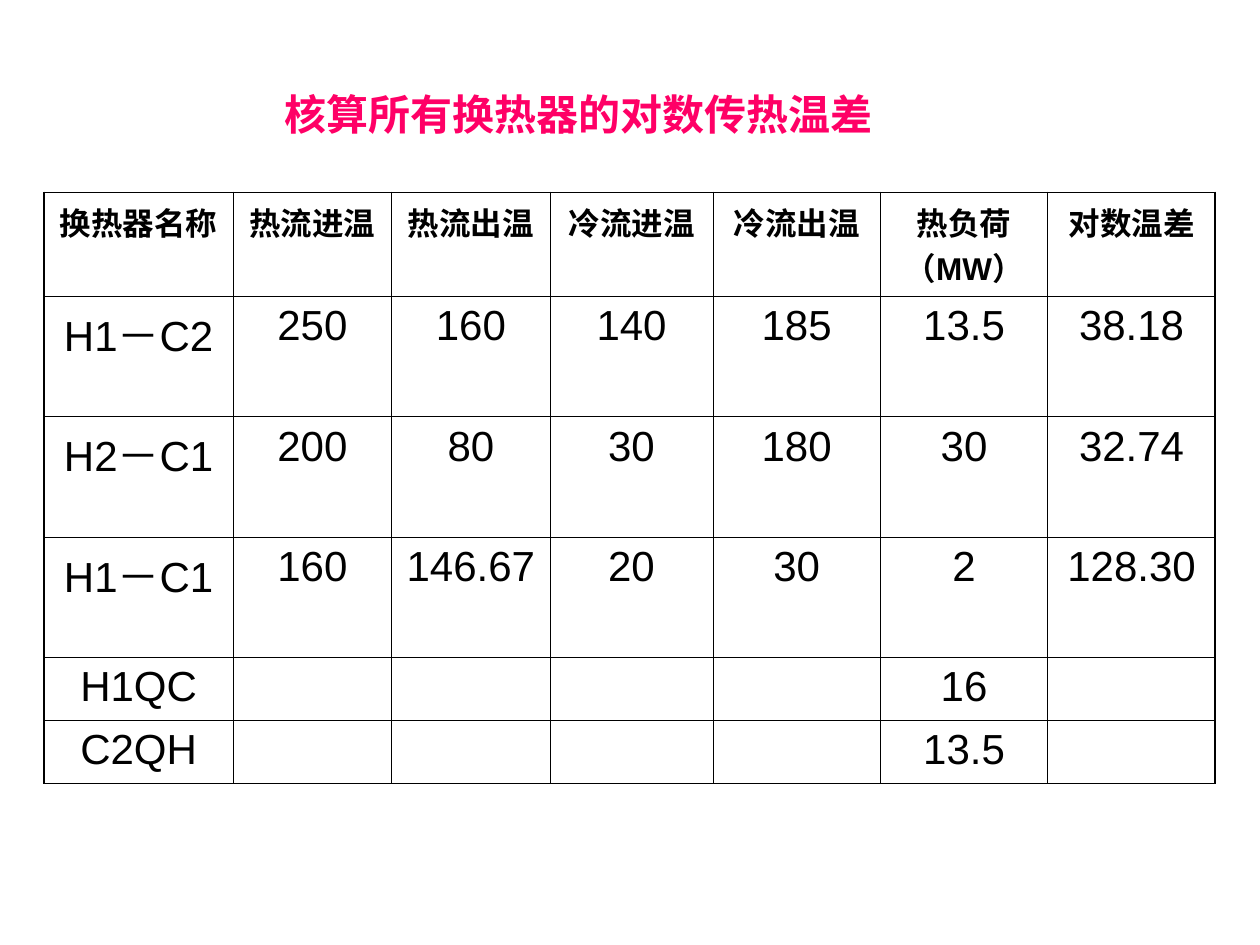
from lxml.etree import SubElement
from pptx import Presentation
from pptx.dml.color import RGBColor
from pptx.enum.text import MSO_AUTO_SIZE, PP_ALIGN
from pptx.oxml.ns import qn
from pptx.util import Pt

COLORS = {"title": "FF0066", "text": "000000", "border": "000000"}
OUTER, INNER = Pt(1.08), Pt(0.45)


def add_run(paragraph, text, size, bold, color):
    run = paragraph.add_run()
    run.text = text
    run.font.name = "Arial"
    run.font.size = Pt(size)
    run.font.bold = bold
    run.font.color.rgb = RGBColor.from_string(color)


def set_border(cell, side, width):
    line = SubElement(cell._tc.get_or_add_tcPr(), qn(f"a:ln{side}"), w=str(width))
    fill = SubElement(line, qn("a:solidFill"))
    SubElement(fill, qn("a:srgbClr"), val=COLORS["border"])


prs = Presentation()
prs.slide_width, prs.slide_height = Pt(720), Pt(540)
slide = prs.slides.add_slide(prs.slide_layouts[6])

# Heat exchanger table
rows = [
    ["换热器名称", "热流进温", "热流出温", "冷流进温", "冷流出温", "热负荷（MW）", "对数温差"],
    ["H1－C2", "250", "160", "140", "185", "13.5", "38.18"],
    ["H2－C1", "200", "80", "30", "180", "30", "32.74"],
    ["H1－C1", "160", "146.67", "20", "30", "2", "128.30"],
    ["H1QC", "", "", "", "", "16", ""],
    ["C2QH", "", "", "", "", "13.5", ""],
]
column_widths = [108, 90.6, 90.6, 93, 95.7, 95.7, 95.7]
row_heights = [50.4, 64.8, 64.8, 64.8, 36, 36]
exchangers = slide.shapes.add_table(
    len(rows), len(column_widths), Pt(25.2), Pt(110),
    Pt(sum(column_widths)), Pt(sum(row_heights))).table
exchangers.first_row = exchangers.horz_banding = False
for column, width in zip(exchangers.columns, column_widths):
    column.width = Pt(width)
for row, height in zip(exchangers.rows, row_heights):
    row.height = Pt(height)

last_row, last_column = len(rows) - 1, len(column_widths) - 1
for r, values in enumerate(rows):
    for c, value in enumerate(values):
        cell = exchangers.cell(r, c)
        # Borders go before the fill in the cell properties
        set_border(cell, "L", OUTER if c == 0 else INNER)
        set_border(cell, "R", OUTER if c == last_column else INNER)
        set_border(cell, "T", OUTER if r == 0 else INNER)
        set_border(cell, "B", OUTER if r == last_row else INNER)
        cell.fill.background()
        if value:
            paragraph = cell.text_frame.paragraphs[0]
            paragraph.alignment = PP_ALIGN.CENTER
            add_run(paragraph, value, 18 if r == 0 else 24, r == 0, COLORS["text"])

# Title
title = slide.shapes.add_textbox(Pt(155.5), Pt(46.8), Pt(374.4), Pt(36)).text_frame
title.word_wrap = True
title.auto_size = MSO_AUTO_SIZE.SHAPE_TO_FIT_TEXT
add_run(title.paragraphs[0], "核算所有换热器的对数传热温差", 24, True, COLORS["title"])

prs.save("out.pptx")
